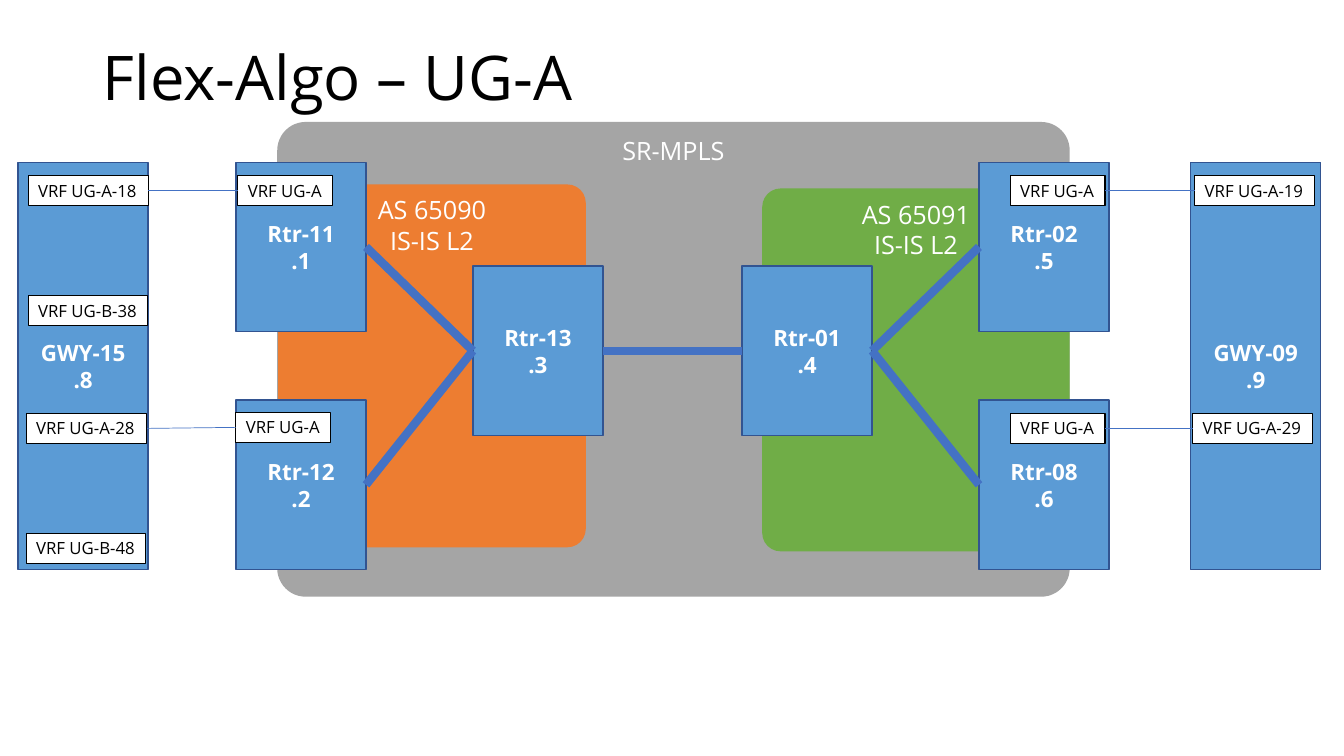
from pptx import Presentation
from pptx.dml.color import RGBColor
from pptx.enum.shapes import MSO_CONNECTOR, MSO_SHAPE
from pptx.enum.text import MSO_ANCHOR, PP_ALIGN
from pptx.oxml import parse_xml
from pptx.util import Inches, Pt

FONT = "Open Sans"
COLS = {"gate_l": 0.18, "edge_l": 2.34, "core_l": 4.69, "core_r": 7.36, "edge_r": 9.71, "gate_r": 11.81}
ROWS = {"top": 1.61, "mid": 2.64, "low": 3.97}
NODE_W, NODE_H = 1.29, 1.68
GATE_H = ROWS["low"] + NODE_H - ROWS["top"]
TAG_H = 0.3
EFFECTS = '<a:effectLst xmlns:a="http://schemas.openxmlformats.org/drawingml/2006/main"/>'


def rgb(value):
    return RGBColor.from_string(value)


def add_box(kind, box, lines, fill, size, color="FFFFFF", line=None, weight=1, bold=False,
            align=PP_ALIGN.CENTER, anchor=MSO_ANCHOR.TOP):
    sp = s.shapes.add_shape(kind, *[Inches(v) for v in box])
    sp.shadow.inherit = False
    sp.fill.solid()
    sp.fill.fore_color.rgb = rgb(fill)
    if line:
        sp.line.color.rgb = rgb(line)
        sp.line.width = Pt(weight)
    else:
        sp.line.fill.background()
    tf = sp.text_frame
    tf.vertical_anchor = anchor
    tf.text = "\n".join(lines)
    for p in tf.paragraphs:
        p.alignment = align
        p.font.name = FONT
        p.font.size = Pt(size)
        p.font.bold = bold
        p.font.color.rgb = rgb(color)
    return sp


prs = Presentation()
prs.slide_width, prs.slide_height = Inches(13.33), Inches(7.5)
s = prs.slides.add_slide(prs.slide_layouts[5])

title = s.shapes.title
title.left, title.top, title.width, title.height = [Inches(v) for v in (0.92, 0.4, 11.5, 0.8)]
tf = title.text_frame
tf.text = "Flex-Algo – UG-A"
tf.vertical_anchor = MSO_ANCHOR.MIDDLE
p = tf.paragraphs[0]
p.alignment = PP_ALIGN.LEFT
p.line_spacing = 0.9
p.font.name = FONT
p.font.size = Pt(44)
p.font.color.rgb = rgb("000000")

areas = [
    ((2.75, 1.21, 7.86, 4.71), ["SR-MPLS"], "A5A5A5"),
    ((7.56, 1.87, 3.05, 3.6), ["AS 65091", "IS-IS L2"], "70AD47"),
    ((2.76, 1.83, 3.05, 3.6), ["AS 65090", "IS-IS L2"], "ED7D31"),
]
for box, lines, fill in areas:
    area = add_box(MSO_SHAPE.ROUNDED_RECTANGLE, box, lines, fill, 18)
    area.adjustments[0] = 0.06

nodes = [
    ("Rtr-11", ".1", "edge_l", "top", NODE_H),
    ("Rtr-12", ".2", "edge_l", "low", NODE_H),
    ("Rtr-13", ".3", "core_l", "mid", NODE_H),
    ("Rtr-01", ".4", "core_r", "mid", NODE_H),
    ("Rtr-02", ".5", "edge_r", "top", NODE_H),
    ("Rtr-08", ".6", "edge_r", "low", NODE_H),
    ("GWY-15", ".8", "gate_l", "top", GATE_H),
    ("GWY-09", ".9", "gate_r", "top", GATE_H),
]
for name, number, col, row, height in nodes:
    add_box(MSO_SHAPE.RECTANGLE, (COLS[col], ROWS[row], NODE_W, height), [name, number],
            "5B9BD5", 16, line="325491", bold=True, anchor=MSO_ANCHOR.MIDDLE)

tags = [
    ("VRF UG-A-18", 0.28, 1.74, 1.19),
    ("VRF UG-B-38", 0.28, 2.93, 1.18),
    ("VRF UG-A-28", 0.26, 4.1, 1.19),
    ("VRF UG-B-48", 0.26, 5.29, 1.18),
    ("VRF UG-A-19", 11.85, 1.74, 1.19),
    ("VRF UG-A-29", 11.83, 4.1, 1.19),
    ("VRF UG-A", 2.36, 1.74, 0.94),
    ("VRF UG-A", 2.34, 4.09, 0.94),
    ("VRF UG-A", 10.02, 1.74, 0.94),
    ("VRF UG-A", 10.02, 4.1, 0.94),
]
for text, x, y, width in tags:
    tag = add_box(MSO_SHAPE.RECTANGLE, (x, y, width, TAG_H), [text], "FFFFFF", 12, "000000",
                  line="000000", weight=0.75, align=PP_ALIGN.LEFT)
    tag.text_frame.word_wrap = False

mid = {row: y + NODE_H / 2 for row, y in ROWS.items()}
right = {col: x + NODE_W for col, x in COLS.items()}
links = [
    (right["core_l"], mid["mid"], COLS["core_r"], mid["mid"], 6),
    (1.47, 1.89, 2.36, 1.89, 0.5),
    (1.46, 4.25, 2.34, 4.24, 0.5),
    (10.96, 1.89, 11.85, 1.89, 0.5),
    (10.96, 4.25, 11.83, 4.25, 0.5),
]
for row in ("top", "low"):
    links.append((right["edge_l"], mid[row], COLS["core_l"], mid["mid"], 6))
    links.append((right["core_r"], mid["mid"], COLS["edge_r"], mid[row], 6))
for *ends, weight in links:
    link = s.shapes.add_connector(MSO_CONNECTOR.STRAIGHT, *[Inches(v) for v in ends])
    link.line.color.rgb = rgb("4472C4")
    link.line.width = Pt(weight)
    link._element.spPr.append(parse_xml(EFFECTS))

prs.save("out.pptx")
